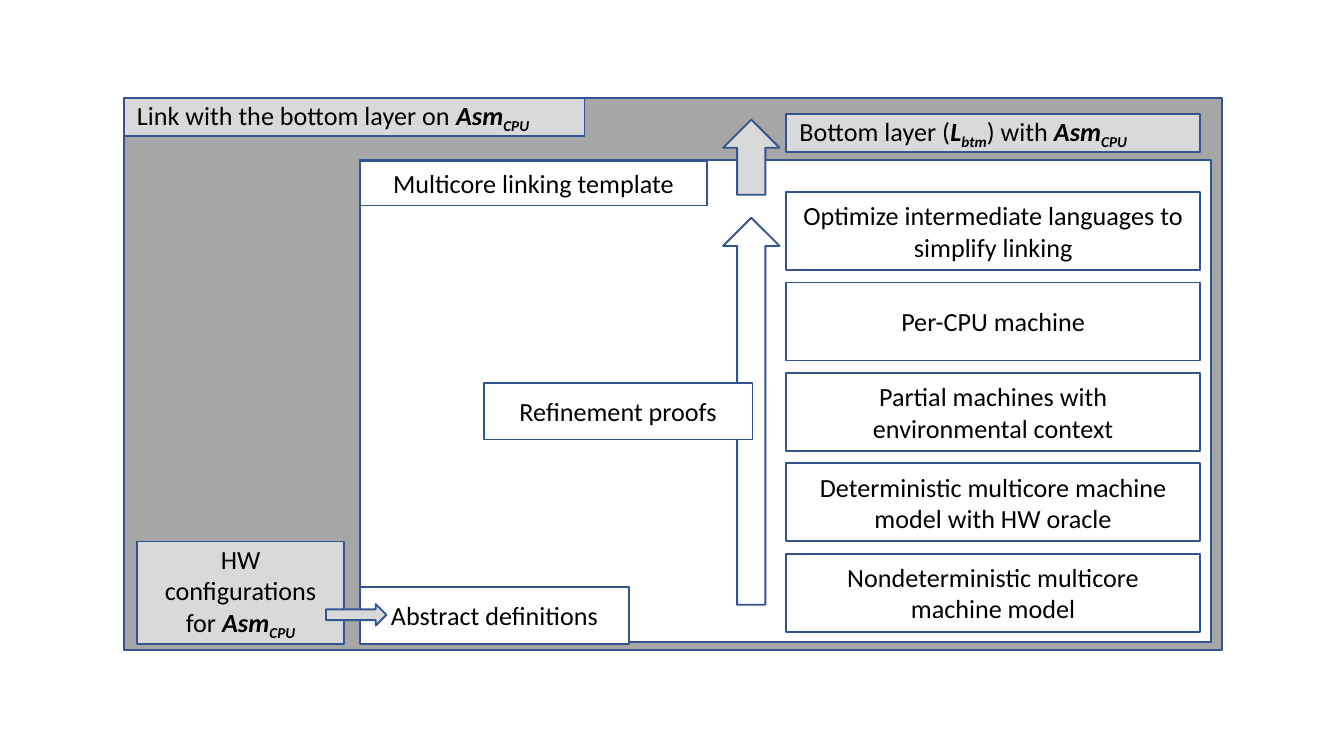
from pptx import Presentation
from pptx.dml.color import RGBColor
from pptx.enum.shapes import MSO_SHAPE
from pptx.enum.text import MSO_ANCHOR, PP_ALIGN
from pptx.util import Inches, Pt

RECT, UP_ARROW = MSO_SHAPE.RECTANGLE, MSO_SHAPE.UP_ARROW
LEFT, CENTER = PP_ALIGN.LEFT, PP_ALIGN.CENTER
MIDDLE = MSO_ANCHOR.MIDDLE

COLORS = {"frame": "A6A6A6", "label": "D9D9D9", "white": "FFFFFF",
          "line": "325491", "text": "000000"}

# Run styles
PLAIN, TERM, SUB = "plain", "term", "sub"
ASM_CPU = [("Asm", TERM), ("CPU", SUB)]


class Diagram:
    font, size, line_width = "Calibri", 14, 1

    def __init__(self, slide):
        self.slide = slide

    def color(self, name):
        return RGBColor.from_string(COLORS[name])

    def shape(self, kind, left, top, width, height, fill):
        shape = self.slide.shapes.add_shape(
            kind, Inches(left), Inches(top), Inches(width), Inches(height))
        shape.shadow.inherit = False
        shape.fill.solid()
        shape.fill.fore_color.rgb = self.color(fill)
        shape.line.color.rgb = self.color("line")
        shape.line.width = Pt(self.line_width)
        return shape

    def box(self, left, top, width, height, runs=(), fill="white", align=CENTER):
        frame = self.shape(RECT, left, top, width, height, fill).text_frame
        frame.word_wrap = True
        frame.vertical_anchor = MIDDLE
        paragraph = frame.paragraphs[0]
        paragraph.alignment = align
        for text, style in runs:
            self.run(paragraph, text, style)

    def run(self, paragraph, text, style):
        run = paragraph.add_run()
        run.text = text
        font = run.font
        font.name, font.size = self.font, Pt(self.size)
        font.color.rgb = self.color("text")
        font.bold = font.italic = style != PLAIN
        if style == SUB:
            run._r.get_or_add_rPr().set("baseline", "-25000")

    def arrow(self, left, top, width, height, fill="white", rotation=0):
        self.shape(UP_ARROW, left, top, width, height, fill).rotation = rotation


# Widescreen slide, 16:9
prs = Presentation()
prs.slide_width = Inches(10)
prs.slide_height = prs.slide_width * 9 // 16
diagram = Diagram(prs.slides.add_slide(prs.slide_layouts[6]))

# Outer linking frame and inner template frame
frame_left, frame_top = 0.92, 0.73
template_left = 2.68
diagram.box(frame_left, frame_top, 8.17, 4.11, fill="frame")
diagram.box(template_left, 1.19, 6.33, 3.59)

# Stack of machine models, top to bottom
layer_left, layer_width = 5.85, 3.08
first_top, last_top = 1.43, 4.12
layers = ["Optimize intermediate languages to simplify linking",
          "Per-CPU machine",
          "Partial machines with environmental context",
          "Deterministic multicore machine model with HW oracle",
          "Nondeterministic multicore machine model"]
layer_step = (last_top - first_top) / (len(layers) - 1)
for i, layer in enumerate(layers):
    diagram.box(layer_left, first_top + i * layer_step, layer_width, 0.58,
                [(layer, PLAIN)])

# Template parts and the refinement arrow
arrow_left, arrow_width = 5.38, 0.42
diagram.box(template_left, 1.2, 2.58, 0.33, [("Multicore linking template", PLAIN)])
diagram.box(template_left, 4.37, 2, 0.42, [("Abstract definitions", PLAIN)])
diagram.arrow(arrow_left, 1.62, arrow_width, 2.88)
diagram.box(3.6, 2.85, 2, 0.42, [("Refinement proofs", PLAIN)])

# Labels for the bottom layer and the outer frame
bottom_layer = [("Bottom layer (", PLAIN), ("L", TERM), ("btm", SUB),
                (") with ", PLAIN)] + ASM_CPU
diagram.box(layer_left, 0.85, layer_width, 0.28, bottom_layer, "label", LEFT)
diagram.box(frame_left, frame_top, 3.43, 0.28,
            [("Link with the bottom layer on ", PLAIN)] + ASM_CPU, "label", LEFT)
diagram.arrow(arrow_left, 0.89, arrow_width, 0.56, "label")

# Hardware configuration feeding the abstract definitions
diagram.box(1.02, 4.03, 1.54, 0.76,
            [("HW configurations for ", PLAIN)] + ASM_CPU, "label")
diagram.arrow(2.57, 4.35, 0.16, 0.45, "label", rotation=90)

prs.save("out.pptx")
